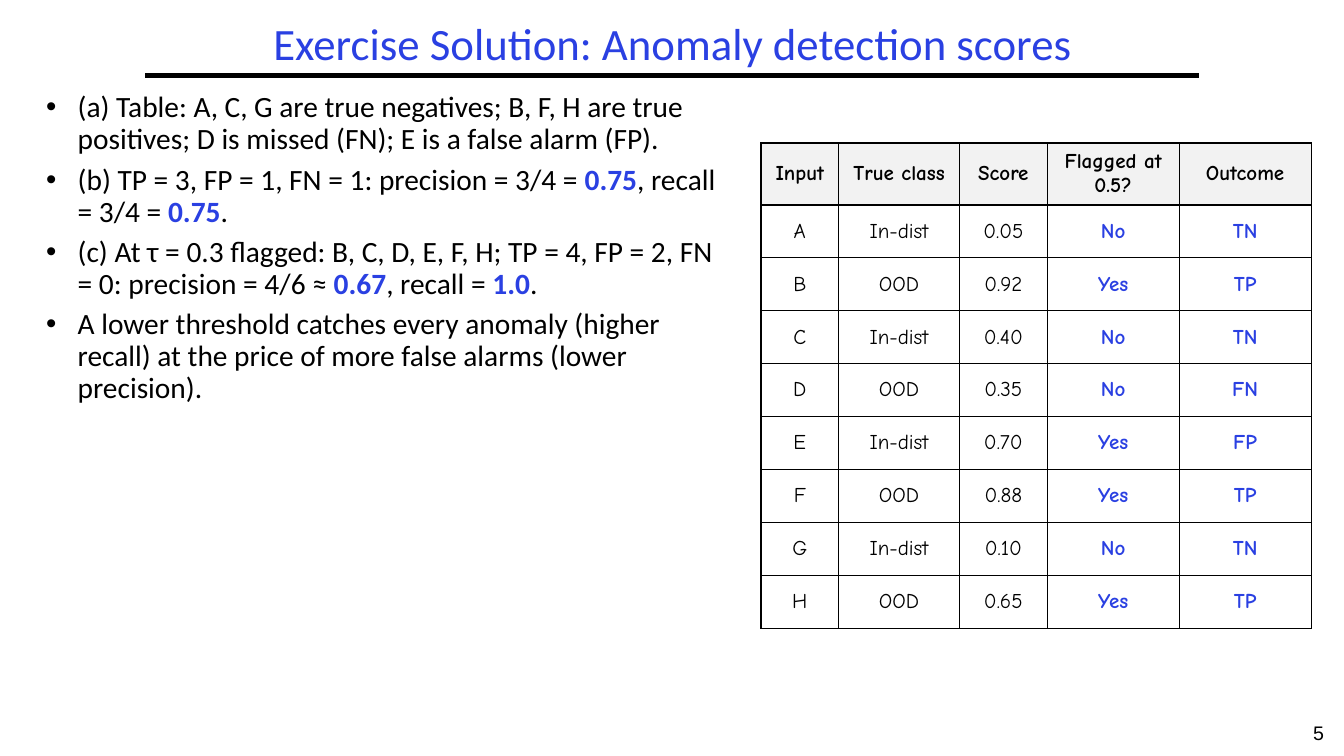
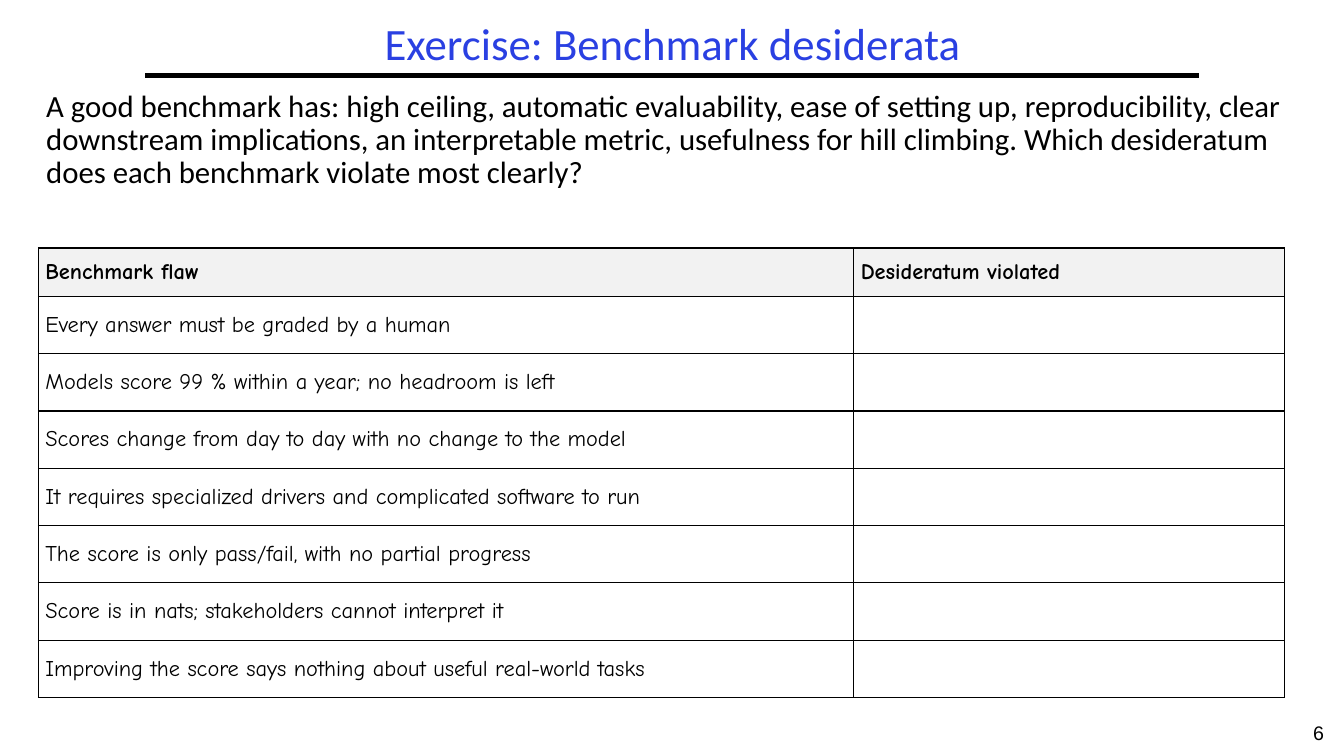
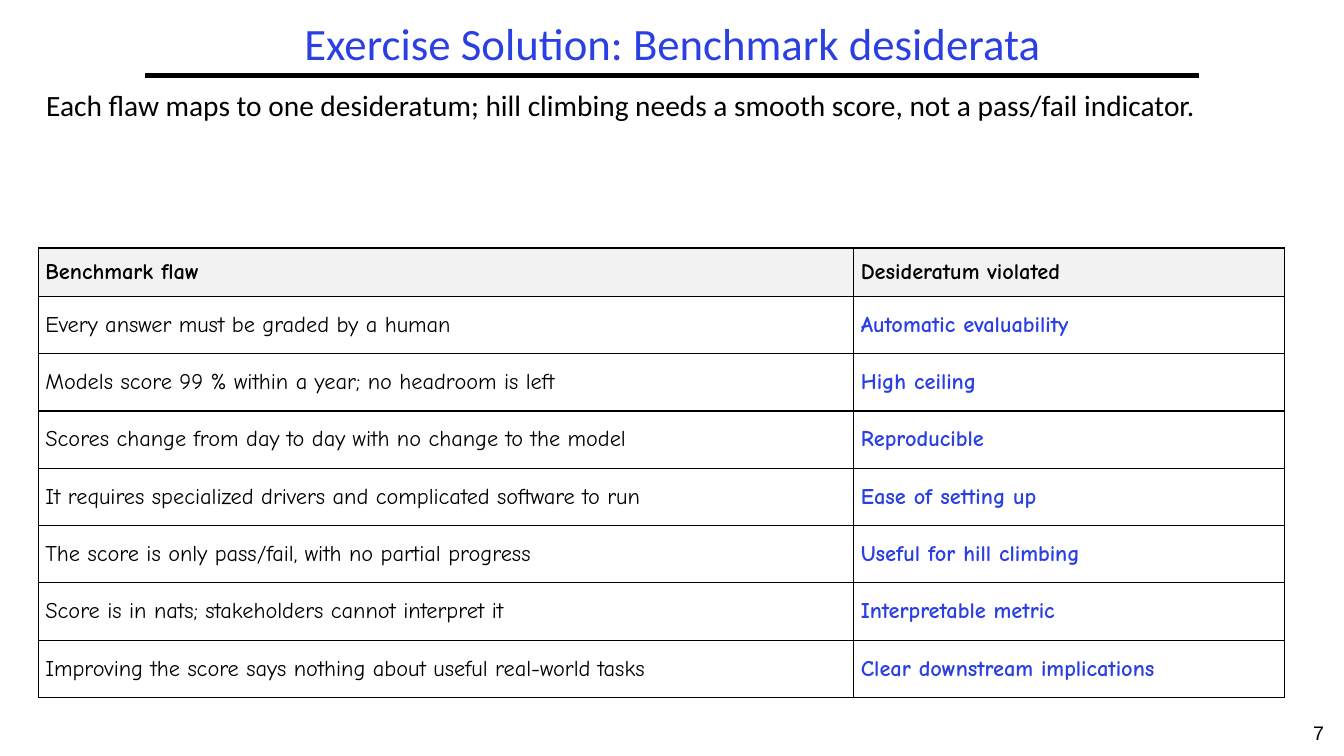
"""Builds three exercise slides on anomaly scores and benchmark desiderata."""
from lxml import etree
from pptx import Presentation
from pptx import util as u
from pptx.dml.color import RGBColor
from pptx.enum import shapes, text
from pptx.oxml.ns import qn

Pt = u.Pt
BLUE, BLACK, GREY = "2A40E2", "000000", "F2F2F2"
MID, LEFT = text.PP_ALIGN.CENTER, text.PP_ALIGN.LEFT


def style(para, face, size, hue=BLACK, bold=False, align=LEFT):
    para.alignment = align
    para.font.name = face
    para.font.size = Pt(size)
    para.font.bold = bold
    para.font.color.rgb = RGBColor.from_string(hue)


def write(slide, box, lines, face, size, hue=BLACK, align=LEFT, bullet=False):
    """Add a text box; parts between asterisks are bold and blue."""
    frame = slide.shapes.add_textbox(*map(Pt, box)).text_frame
    frame.word_wrap = True
    for i, line in enumerate(lines):
        para = frame.paragraphs[0] if i == 0 else frame.add_paragraph()
        if i:
            para.space_before = Pt(6.3)
        if bullet:
            props = para._p.get_or_add_pPr()
            props.set("marL", str(Pt(22.5)))
            props.set("indent", str(-Pt(22.5)))
            etree.SubElement(props, qn("a:buFont")).set("typeface", "Arial")
            etree.SubElement(props, qn("a:buChar")).set("char", "•")
        style(para, face, size, hue, align=align)
        for j, part in enumerate(line.split("*")):
            run = para.add_run()
            run.text = part
            if j % 2:
                run.font.bold = True
                run.font.color.rgb = RGBColor.from_string(BLUE)
    return frame


scores = [
    ("Input", "True class", "Score", "Flagged at 0.5?", "Outcome"),
    ("A", "In-dist", "0.05", "No", "TN"),
    ("B", "OOD", "0.92", "Yes", "TP"),
    ("C", "In-dist", "0.40", "No", "TN"),
    ("D", "OOD", "0.35", "No", "FN"),
    ("E", "In-dist", "0.70", "Yes", "FP"),
    ("F", "OOD", "0.88", "Yes", "TP"),
    ("G", "In-dist", "0.10", "No", "TN"),
    ("H", "OOD", "0.65", "Yes", "TP"),
]
solved = [
    ("Benchmark flaw", "Desideratum violated"),
    ("Every answer must be graded by a human", "Automatic evaluability"),
    ("Models score 99 % within a year; no headroom is left", "High ceiling"),
    ("Scores change from day to day with no change to the model", "Reproducible"),
    ("It requires specialized drivers and complicated software to run", "Ease of setting up"),
    ("The score is only pass/fail, with no partial progress", "Useful for hill climbing"),
    ("Score is in nats; stakeholders cannot interpret it", "Interpretable metric"),
    ("Improving the score says nothing about useful real-world tasks",
     "Clear downstream implications"),
]
unsolved = solved[:1] + [(flaw, "") for flaw, _ in solved[1:]]

wide = (25.9, 61.2, 905.8, 115.9)
small = dict(at=(543.6, 102.2), cols=(55.4, 86.4, 62.6, 94.3, 94.3),
             head=44.2, row=37.8, size=15, align=MID, plain=3)
large = dict(at=(27.4, 177.1), cols=(582.5, 307.4),
             head=34.6, row=40.95, size=16, align=LEFT, plain=1)

pages = [
    ("Exercise Solution: Anomaly detection scores", (25.9, 62.6, 496.1, 432.7), 21, [
        "(a) Table: A, C, G are true negatives; B, F, H are true positives; "
        "D is missed (FN); E is a false alarm (FP).",
        "(b) TP = 3, FP = 1, FN = 1: precision = 3/4 = *0.75*, recall = 3/4 = *0.75*.",
        "(c) At τ = 0.3 flagged: B, C, D, E, F, H; TP = 4, FP = 2, FN = 0: "
        "precision = 4/6 ≈ *0.67*, recall = *1.0*.",
        "A lower threshold catches every anomaly (higher recall) at the price of "
        "more false alarms (lower precision).",
    ], scores, small),
    ("Exercise: Benchmark desiderata", wide, 22, [
        "A good benchmark has: high ceiling, automatic evaluability, ease of setting up, "
        "reproducibility, clear downstream implications, an interpretable metric, "
        "usefulness for hill climbing. Which desideratum does each benchmark violate "
        "most clearly?",
    ], unsolved, large),
    ("Exercise Solution: Benchmark desiderata", wide, 21, [
        "Each flaw maps to one desideratum; hill climbing needs a smooth score, "
        "not a pass/fail indicator.",
    ], solved, large),
]

deck = Presentation()
deck.slide_width, deck.slide_height = Pt(960), Pt(540)

for num, (title, box, size, lines, data, form) in enumerate(pages, 5):
    slide = deck.slides.add_slide(deck.slide_layouts[6])

    rule = slide.shapes.add_connector(
        shapes.MSO_CONNECTOR.STRAIGHT, Pt(103.7), Pt(54), Pt(856.1), Pt(54))
    rule.line.width = Pt(3)
    rule.line.color.rgb = RGBColor.from_string(BLACK)
    etree.SubElement(rule._element.spPr, qn("a:effectLst"))

    write(slide, (923.8, 511.2, 36, 28.8), [str(num)], "Arial", 14, align=MID)
    frame = write(slide, (103.7, 12.2, 753.8, 41.8), [title], "Calibri", 32, BLUE, MID)
    frame.vertical_anchor = text.MSO_ANCHOR.MIDDLE
    frame.paragraphs[0].line_spacing = 0.9
    frame = write(slide, box, lines, "Calibri", size, bullet=len(lines) > 1)
    for para in frame.paragraphs:
        para.line_spacing = 0.9

    high = form["head"] + form["row"] * (len(data) - 1)
    area = (*form["at"], sum(form["cols"]), high)
    table = slide.shapes.add_table(len(data), len(data[0]), *map(Pt, area)).table
    table.horz_banding = table.first_row = False
    for col, width in zip(table.columns, form["cols"]):
        col.width = Pt(width)
    for r, words in enumerate(data):
        table.rows[r].height = Pt(form["row"] if r else form["head"])
        for c, word in enumerate(words):
            cell = table.cell(r, c)
            cell.text = word
            cell.vertical_anchor = text.MSO_ANCHOR.MIDDLE
            cell.margin_left = cell.margin_right = Pt(5)
            cell.margin_top = cell.margin_bottom = Pt(2.2)
            answer = r > 0 and c >= form["plain"]
            style(cell.text_frame.paragraphs[0], "Comic Neue", form["size"],
                  BLUE if answer else BLACK, answer or r == 0, form["align"])
            props = cell._tc.get_or_add_tcPr()
            for side in ("a:lnL", "a:lnR", "a:lnT", "a:lnB"):
                edge = etree.SubElement(props, qn(side), w=str(Pt(1)))
                fill = etree.SubElement(edge, qn("a:solidFill"))
                etree.SubElement(fill, qn("a:srgbClr"), val=BLACK)
            if r:
                cell.fill.background()
            else:
                cell.fill.solid()
                cell.fill.fore_color.rgb = RGBColor.from_string(GREY)

deck.save("out.pptx")
